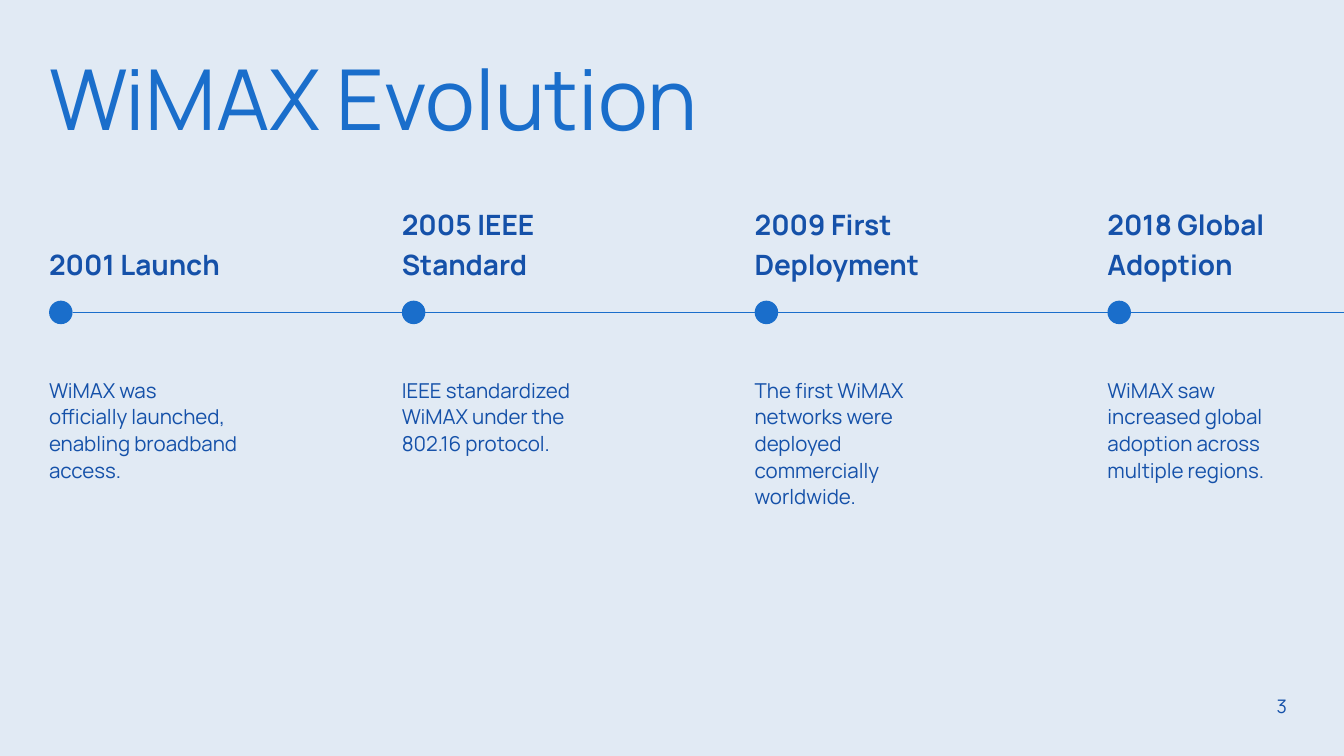
import pptx
import pptx.dml.color
import pptx.enum.shapes
import pptx.enum.text
import pptx.oxml
import pptx.util

SLIDE_WIDTH, SLIDE_HEIGHT = 20, 11.25
MARGIN = 0.73
COLUMN = 0.75  # inches, counted from the left margin
ROW = 42 / 72  # inches, one milestone heading line
MILESTONE_STEP = 7  # columns between milestones
MILESTONE_WIDTH = 3.75
CONTENT_COLUMNS = (SLIDE_WIDTH - 2 * MARGIN) / COLUMN
AXIS_ROW = 7.97
DOT_DIAMETER = 0.35 / COLUMN

MILESTONES = [
    ("2001 Launch", "WiMAX was officially launched, enabling broadband access."),
    ("2005 IEEE Standard", "IEEE standardized WiMAX under the 802.16 protocol."),
    ("2009 First Deployment", "The first WiMAX networks were deployed commercially worldwide."),
    ("2018 Global Adoption", "WiMAX saw increased global adoption across multiple regions."),
]


def color(hex_code):
    return pptx.dml.color.RGBColor.from_string(hex_code)


class TimelineSlide:
    FONT = "Manrope"
    BACKGROUND = "E1EAF4"
    ACCENT = "1A6ECB"
    INK = "1551A9"

    def __init__(self, presentation):
        self.slide = presentation.slides.add_slide(presentation.slide_layouts[5])
        fill = self.slide.background.fill
        fill.solid()
        fill.fore_color.rgb = color(self.BACKGROUND)

    def x(self, column):
        return pptx.util.Inches(MARGIN + column * COLUMN)

    def y(self, row):
        return pptx.util.Inches(row * ROW)

    def width(self, columns):
        return pptx.util.Inches(columns * COLUMN)

    def set_text(self, shape, text, size, leading, ink=INK, bold=False,
                 align="LEFT", anchor="TOP"):
        frame = shape.text_frame
        frame.margin_left = frame.margin_right = 0
        frame.margin_top = frame.margin_bottom = 0
        frame.word_wrap = True
        frame.auto_size = pptx.enum.text.MSO_AUTO_SIZE.NONE
        frame.vertical_anchor = pptx.enum.text.MSO_ANCHOR[anchor]
        frame.text = text
        paragraph = frame.paragraphs[0]
        paragraph.alignment = pptx.enum.text.PP_ALIGN[align]
        paragraph.line_spacing = pptx.util.Pt(leading)
        paragraph.space_before = pptx.util.Pt(0)
        font = paragraph.runs[0].font
        font.name = self.FONT
        font.size = pptx.util.Pt(size)
        font.bold = bold
        font.color.rgb = color(ink)

    def title(self, text):
        heading = self.slide.shapes.title
        heading.left, heading.top = self.x(0), self.y(1.39)
        heading.width, heading.height = self.width(CONTENT_COLUMNS), self.y(2.43)
        self.set_text(heading, text, 90, 99, ink=self.ACCENT)

    def text(self, text, column, row, columns, rows, size, leading, **style):
        box = self.slide.shapes.add_textbox(
            self.x(column), self.y(row), self.width(columns), self.y(rows))
        self.set_text(box, text, size, leading, **style)

    def axis(self, start_column):
        """Draw the time line from a column to the right edge of the slide."""
        line = self.slide.shapes.add_connector(
            pptx.enum.shapes.MSO_CONNECTOR.STRAIGHT,
            self.x(start_column), self.y(AXIS_ROW),
            pptx.util.Inches(SLIDE_WIDTH), self.y(AXIS_ROW))
        line.line.color.rgb = color(self.ACCENT)
        line.line.width = pptx.util.Pt(1.5)
        properties = line._element.spPr
        properties.append(pptx.oxml.parse_xml(
            '<a:effectLst xmlns:a="http://schemas.openxmlformats.org/drawingml/2006/main"/>'))

    def dot(self, column):
        diameter = self.width(DOT_DIAMETER)
        marker = self.slide.shapes.add_shape(
            pptx.enum.shapes.MSO_SHAPE.OVAL,
            self.x(column), self.y(AXIS_ROW) - diameter // 2, diameter, diameter)
        marker.shadow.inherit = False
        marker.fill.solid()
        marker.fill.fore_color.rgb = color(self.ACCENT)
        marker.line.fill.background()

    def milestone(self, column, heading, description):
        self.text(heading, column, 5.16, MILESTONE_WIDTH, 2, 30, 42,
                  bold=True, anchor="BOTTOM")
        self.dot(column)
        self.text(description, column, 9.58, MILESTONE_WIDTH, 3.4, 22, 28.6)


def main():
    presentation = pptx.Presentation()
    presentation.slide_width = pptx.util.Inches(SLIDE_WIDTH)
    presentation.slide_height = pptx.util.Inches(SLIDE_HEIGHT)

    timeline = TimelineSlide(presentation)
    timeline.title("WiMAX Evolution")
    timeline.axis(DOT_DIAMETER)
    for index, (heading, description) in enumerate(MILESTONES):
        timeline.milestone(index * MILESTONE_STEP, heading, description)
    timeline.text("3", 24.33, 17.64, 0.23, 0.4, 20, 28, align="RIGHT")

    presentation.save("out.pptx")


if __name__ == "__main__":
    main()
